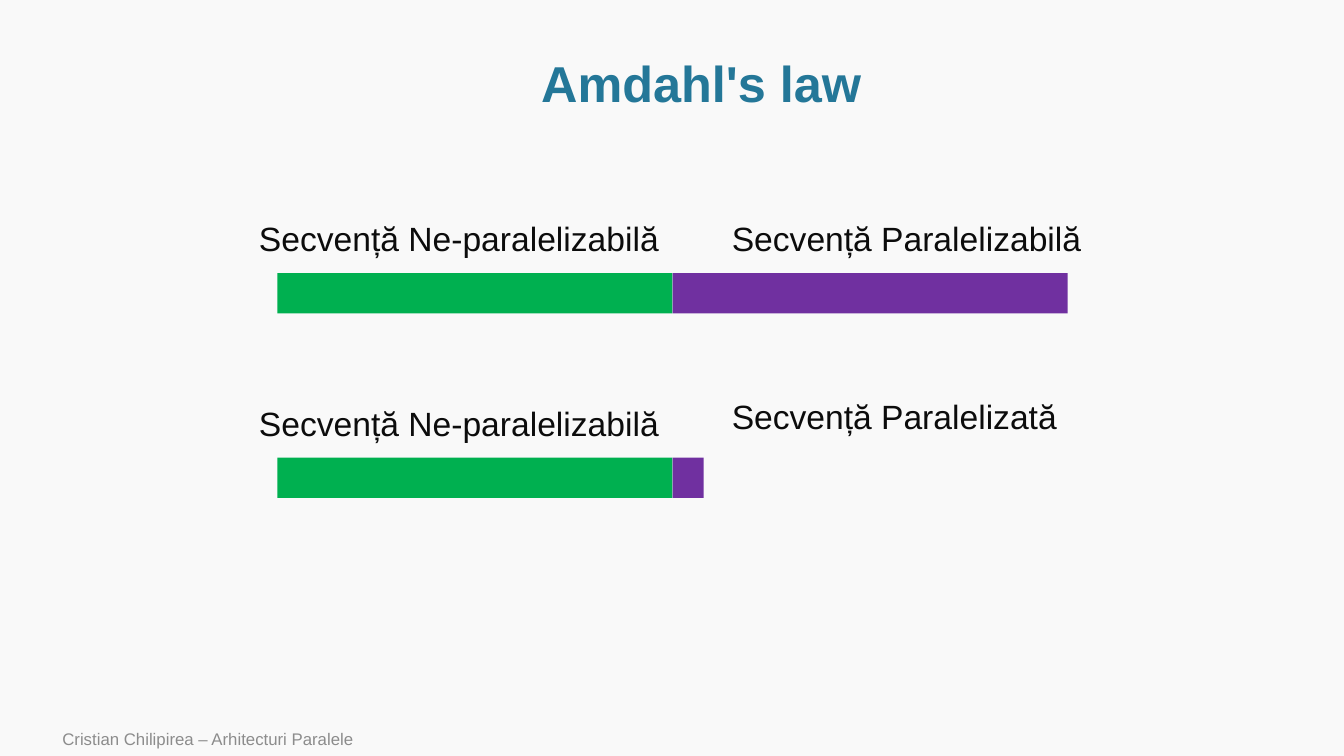
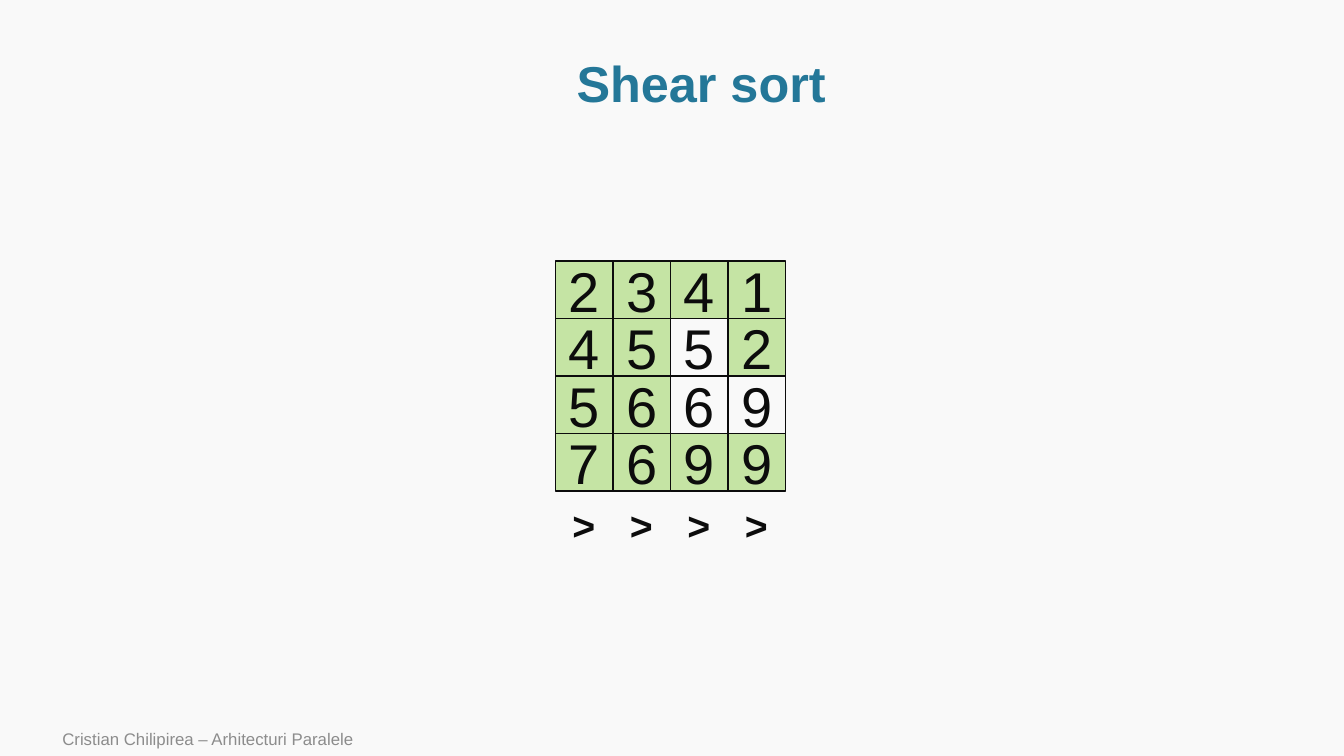
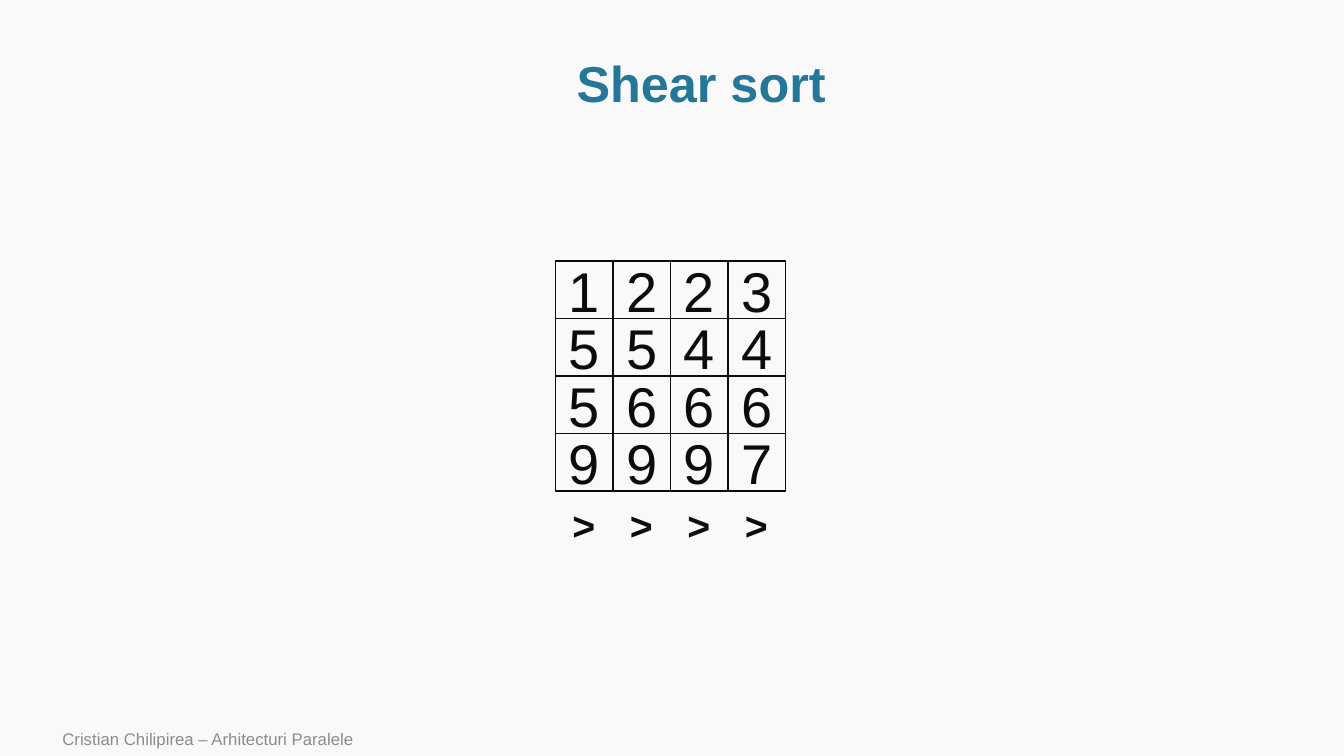
from lxml import etree
from pptx import Presentation
from pptx.dml.color import RGBColor
from pptx.enum.shapes import MSO_SHAPE
from pptx.enum.text import MSO_ANCHOR, MSO_AUTO_SIZE, PP_ALIGN
from pptx.oxml.ns import qn
from pptx.util import Inches, Pt

RECTANGLE = MSO_SHAPE.RECTANGLE
MIDDLE, TOP = MSO_ANCHOR.MIDDLE, MSO_ANCHOR.TOP
LEFT, CENTER = PP_ALIGN.LEFT, PP_ALIGN.CENTER
FIT_SHAPE = MSO_AUTO_SIZE.SHAPE_TO_FIT_TEXT

BACKGROUND = RGBColor(0xF9, 0xF9, 0xF9)
TITLE_BLUE = RGBColor(0x24, 0x77, 0x98)
INK = RGBColor(0x0C, 0x0C, 0x0C)
FOOTER_GRAY = RGBColor(0x8C, 0x8C, 0x8C)
SEQUENTIAL_GREEN = RGBColor(0x00, 0xB0, 0x50)
PARALLEL_PURPLE = RGBColor(0x70, 0x30, 0xA0)
CELL_GREEN = RGBColor(0x92, 0xD0, 0x50)

FONT = "Arial"
FOOTER = "Cristian Chilipirea – Arhitecturi Paralele"
TITLE_BOX = (1.14, 0.51, 11.63, 0.69)
FOOTER_BOX = (0.52, 7.16, 8.4, 0.34)

BAR_LEFT, BAR_HEIGHT, SEQUENTIAL_WIDTH = 2.75, 0.4, 3.92
LABEL_LEFTS, LABEL_HEIGHT = (2.47, 7.16), 0.5
AMDAHL_ROWS = [
    {
        "bar_top": 2.71,
        "parallel_width": SEQUENTIAL_WIDTH,
        "labels": [
            ("Secvență Ne-paralelizabilă", 2.11, 4.21),
            ("Secvență Paralelizabilă", 2.11, 3.71),
        ],
    },
    {
        "bar_top": 4.54,
        "parallel_width": 0.31,
        "labels": [
            ("Secvență Ne-paralelizabilă", 3.95, 4.21),
            ("Secvență Paralelizată", 3.88, 3.46),
        ],
    },
]

GRID_LEFT, GRID_TOP, CELL = 5.51, 2.59, 0.57
ARROW_TOP, ARROW_WIDTH, ARROW_HEIGHT = 4.92, 0.43, 0.57
SHEAR_STEPS = [
    {
        "numbers": ["2341", "4552", "5669", "7699"],
        "plain_cells": {(1, 2), (2, 2), (2, 3)},
    },
    {
        "numbers": ["1223", "5544", "5666", "9997"],
        "plain_cells": {(row, column) for row in range(4) for column in range(4)},
    },
]


def write_text(shape, text, size, color, bold=False, align=LEFT, anchor=TOP):
    frame = shape.text_frame
    frame.text = text
    frame.vertical_anchor = anchor
    paragraph = frame.paragraphs[0]
    paragraph.alignment = align
    font = paragraph.runs[0].font
    font.name, font.size, font.bold = FONT, Pt(size), bold
    font.color.rgb = color
    return paragraph


def add_text(slide, box, text, size, color, wrap=True, **style):
    shape = slide.shapes.add_textbox(*map(Inches, box))
    paragraph = write_text(shape, text, size, color, **style)
    shape.text_frame.word_wrap = wrap
    if not wrap:
        shape.text_frame.auto_size = FIT_SHAPE
    return paragraph


def add_rectangle(slide, box, fill=None, alpha=None, outline=None):
    shape = slide.shapes.add_shape(RECTANGLE, *map(Inches, box))
    shape.shadow.inherit = False
    if fill is None:
        shape.fill.background()
    else:
        shape.fill.solid()
        shape.fill.fore_color.rgb = fill
    if alpha is not None:
        color = shape.fill._xPr.find(qn("a:solidFill"))[0]
        etree.SubElement(color, qn("a:alpha")).set("val", str(alpha * 1000))
    if outline is None:
        shape.line.fill.background()
    else:
        shape.line.color.rgb = outline
        shape.line.width = Pt(1)
    return shape


def add_slide(presentation, title):
    slide = presentation.slides.add_slide(presentation.slide_layouts[6])
    paragraph = add_text(slide, TITLE_BOX, title, 36, TITLE_BLUE,
                         bold=True, align=CENTER, anchor=MIDDLE)
    paragraph.line_spacing = 0.9
    add_text(slide, FOOTER_BOX, FOOTER, 12, FOOTER_GRAY, anchor=MIDDLE)
    return slide


def build_amdahl(presentation):
    slide = add_slide(presentation, "Amdahl's law")
    for row in AMDAHL_ROWS:
        left = BAR_LEFT
        for width, color in ((SEQUENTIAL_WIDTH, SEQUENTIAL_GREEN),
                             (row["parallel_width"], PARALLEL_PURPLE)):
            add_rectangle(slide, (left, row["bar_top"], width, BAR_HEIGHT), color)
            left += width
        for label_left, (text, top, width) in zip(LABEL_LEFTS, row["labels"]):
            add_text(slide, (label_left, top, width, LABEL_HEIGHT), text, 24, INK, wrap=False)


def build_shear_sort(presentation, step):
    slide = add_slide(presentation, "Shear sort")
    for row, digits in enumerate(step["numbers"]):
        for column, digit in enumerate(digits):
            fill = None if (row, column) in step["plain_cells"] else CELL_GREEN
            box = (GRID_LEFT + column * CELL, GRID_TOP + row * CELL, CELL, CELL)
            cell = add_rectangle(slide, box, fill, 50 if fill else None, INK)
            write_text(cell, digit, 40, INK, align=CENTER, anchor=MIDDLE)
    for column in range(len(step["numbers"][0])):
        left = GRID_LEFT + column * CELL + (CELL - ARROW_WIDTH) / 2
        add_text(slide, (left, ARROW_TOP, ARROW_WIDTH, ARROW_HEIGHT), ">", 28, INK,
                 wrap=False, bold=True)


def main():
    presentation = Presentation()
    presentation.slide_width = Inches(13.33)
    presentation.slide_height = Inches(7.5)
    background = presentation.slide_master.background.fill
    background.solid()
    background.fore_color.rgb = BACKGROUND
    build_amdahl(presentation)
    for step in SHEAR_STEPS:
        build_shear_sort(presentation, step)
    presentation.save("out.pptx")


if __name__ == "__main__":
    main()
